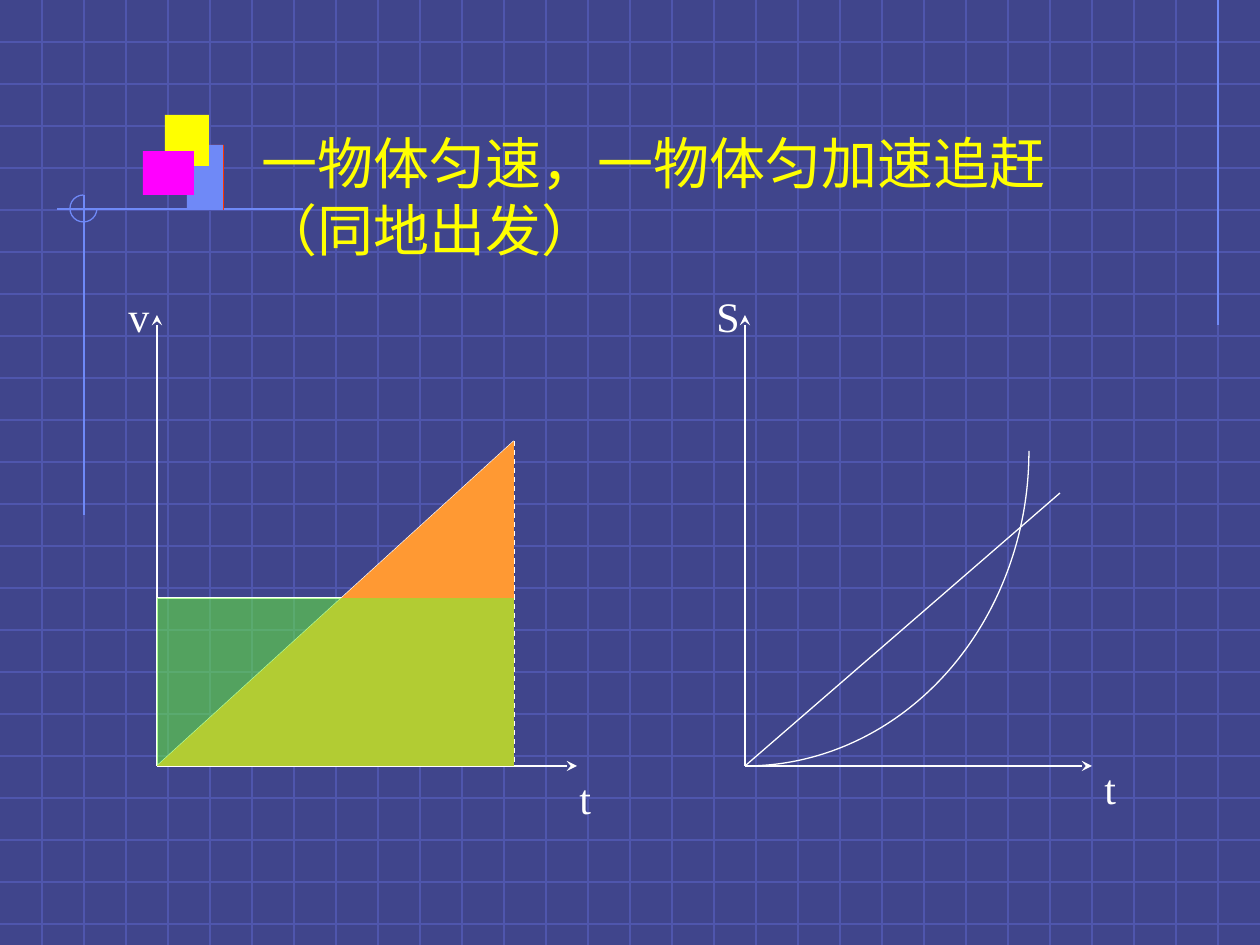
from lxml import etree
from pptx import Presentation
from pptx import util as u
from pptx.dml.color import RGBColor
from pptx.enum import dml, lang, shapes, text
from pptx.oxml.ns import qn

PX_PER_INCH = 126
WIDTH, HEIGHT, GRID = 1260, 945, 42
WHITE, YELLOW, BLUE = "FFFFFF", "FFFF00", "6F89F7"
RECT = shapes.MSO_SHAPE.RECTANGLE


def px(length):
    return u.Emu(round(length * u.Inches(1) / PX_PER_INCH))


def paint(color_format, hex_color):
    color_format.rgb = RGBColor.from_string(hex_color)


def add_line(slide, x1, y1, x2, y2, color=WHITE, dashed=False, arrow=False):
    connector = slide.shapes.add_connector(
        shapes.MSO_CONNECTOR.STRAIGHT, px(x1), px(y1), px(x2), px(y2))
    line = connector.line
    line.width = u.Pt(0.75)
    paint(line.color, color)
    if dashed:
        line.dash_style = dml.MSO_LINE.DASH
    properties = connector._element.spPr
    if arrow:
        etree.SubElement(properties.find(qn("a:ln")), qn("a:tailEnd"), type="stealth")
    etree.SubElement(properties, qn("a:effectLst"))


def add_area(slide, kind, x, y, w, h, color, alpha=100, mirrored=False):
    area = slide.shapes.add_shape(kind, px(x), px(y), px(w), px(h))
    area.shadow.inherit = False
    area.fill.solid()
    paint(area.fill.fore_color, color)
    area.line.fill.background()
    if alpha < 100:
        fill_color = area._element.spPr.find(qn("a:solidFill"))[0]
        etree.SubElement(fill_color, qn("a:alpha"), val=str(alpha * 1000))
    if mirrored:
        area._element.spPr.find(qn("a:xfrm")).set("flipH", "1")


def add_arc(slide, x, y, w, h, end_degrees, color):
    """Draw a clockwise arc that starts at the right of its ellipse."""
    arc = slide.shapes.add_shape(shapes.MSO_SHAPE.ARC, px(x), px(y), px(w), px(h))
    arc.shadow.inherit = False
    arc.adjustments[0] = 0
    arc.adjustments[1] = end_degrees * 0.6
    arc.fill.background()
    arc.line.width = u.Pt(0.75)
    paint(arc.line.color, color)


def write(shape, words, size, color, wrap=True, language=None):
    frame = shape.text_frame
    frame.word_wrap = wrap
    frame.auto_size = text.MSO_AUTO_SIZE.NONE
    frame.vertical_anchor = text.MSO_ANCHOR.TOP
    paragraph = frame.paragraphs[0]
    paragraph.alignment = text.PP_ALIGN.LEFT
    run = paragraph.add_run()
    run.text = words
    run.font.name = "Times New Roman"
    run.font.size = u.Pt(size)
    paint(run.font.color, color)
    if language:
        run.font.language_id = language


def add_label(slide, words, x, y, w):
    box = slide.shapes.add_textbox(px(x), px(y), px(w), px(63))
    write(box, words, 24, WHITE, wrap=False)


def add_axes(slide, x, y, top, right):
    add_line(slide, x, y, x, top, arrow=True)
    add_line(slide, x, y, right, y, arrow=True)


def draw_backdrop(slide):
    slide.background.fill.solid()
    paint(slide.background.fill.fore_color, "40458C")
    for y in range(GRID, HEIGHT, GRID):
        add_line(slide, 0, y, WIDTH, y, "4F56AD")
    for x in range(GRID, WIDTH - GRID + 1, GRID):
        add_line(slide, x, 0, x, HEIGHT, "4F56AD")
    add_line(slide, 1218, 0, 1218, 325, BLUE)
    add_line(slide, 303, 209, 57, 209, BLUE)
    add_line(slide, 84, 195, 84, 515, BLUE)
    add_arc(slide, 70, 195, 27, 27, 270, BLUE)


def draw_title(slide):
    title = slide.shapes.title
    title.left, title.top, title.width, title.height = map(px, (249, 122, 896, 147))
    write(title, "一物体匀速，一物体匀加速追赶（同地出发）", 32, YELLOW,
          language=lang.MSO_LANGUAGE_ID.SIMPLIFIED_CHINESE)
    slide.shapes._spTree.append(title._element)  # in front of the grid


def draw_velocity_graph(slide):
    left, base, right, peak, steady = 157, 766, 514, 441, 598
    add_axes(slide, left, base, 315, 577)
    add_line(slide, left, steady, right, steady)
    add_line(slide, left, base, right, peak)
    add_line(slide, right, peak, right, base, dashed=True)
    add_label(slide, "v", 116, 284, 45)
    add_label(slide, "t", 567, 766, 37)
    add_area(slide, shapes.MSO_SHAPE.RIGHT_TRIANGLE, left, peak,
             right - left, base - peak, "FF9933", mirrored=True)
    add_area(slide, RECT, left, steady, right - left, base - steady, "66FF33", alpha=50)


def draw_distance_graph(slide):
    left, base = 745, 766
    add_axes(slide, left, base, 315, 1092)
    add_line(slide, left, base, 1060, 493)
    add_arc(slide, 462, 136, 567, 630, 90, WHITE)
    add_label(slide, "S", 704, 284, 48)
    add_label(slide, "t", 1092, 756, 37)


def draw_emblem(slide):
    for x, y, w, h, color in (
        (188, 145, 36, 65, "FF3300"),
        (187, 145, 36, 65, BLUE),
        (165, 115, 44, 51, YELLOW),
        (143, 151, 51, 44, "FF00FF"),
    ):
        add_area(slide, RECT, x, y, w, h, color)


def main():
    prs = Presentation()
    prs.slide_width, prs.slide_height = px(WIDTH), px(HEIGHT)
    slide = prs.slides.add_slide(prs.slide_layouts.get_by_name("Title Only"))
    draw_backdrop(slide)
    draw_title(slide)
    draw_velocity_graph(slide)
    draw_distance_graph(slide)
    draw_emblem(slide)
    prs.save("out.pptx")


if __name__ == "__main__":
    main()
